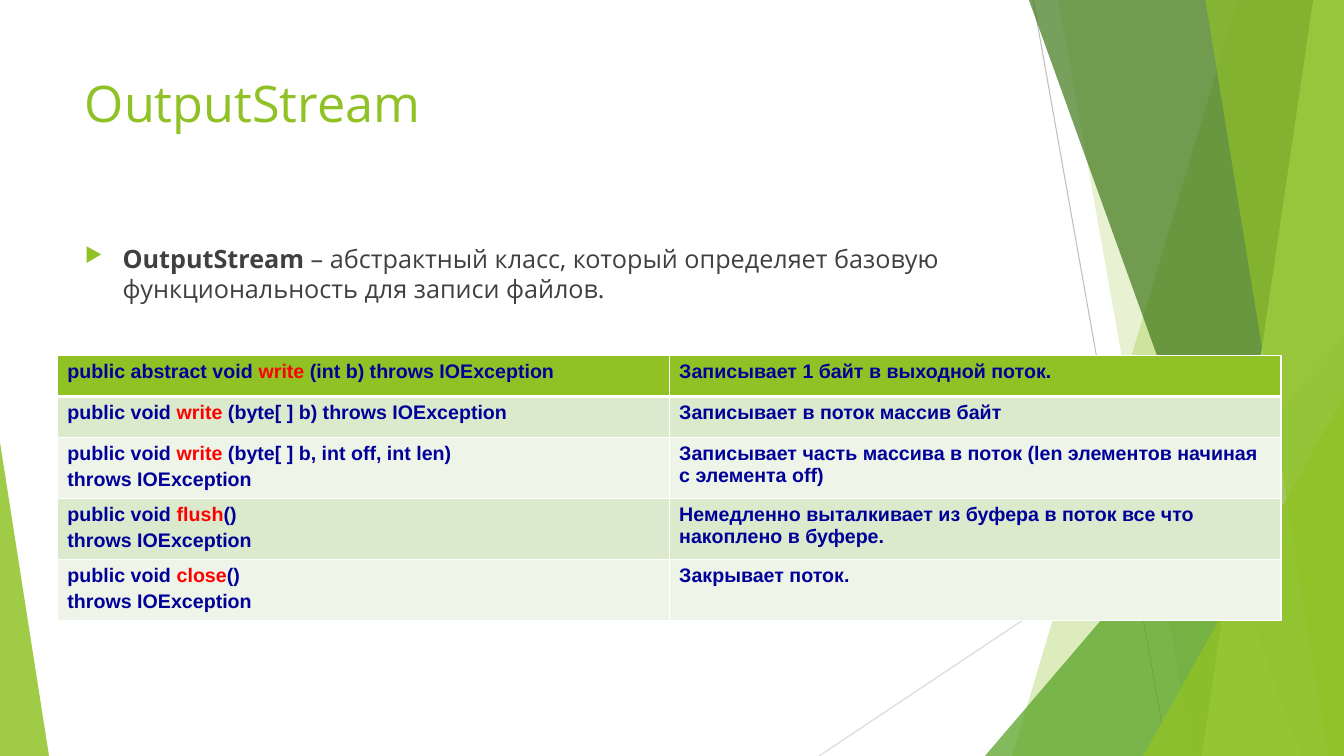
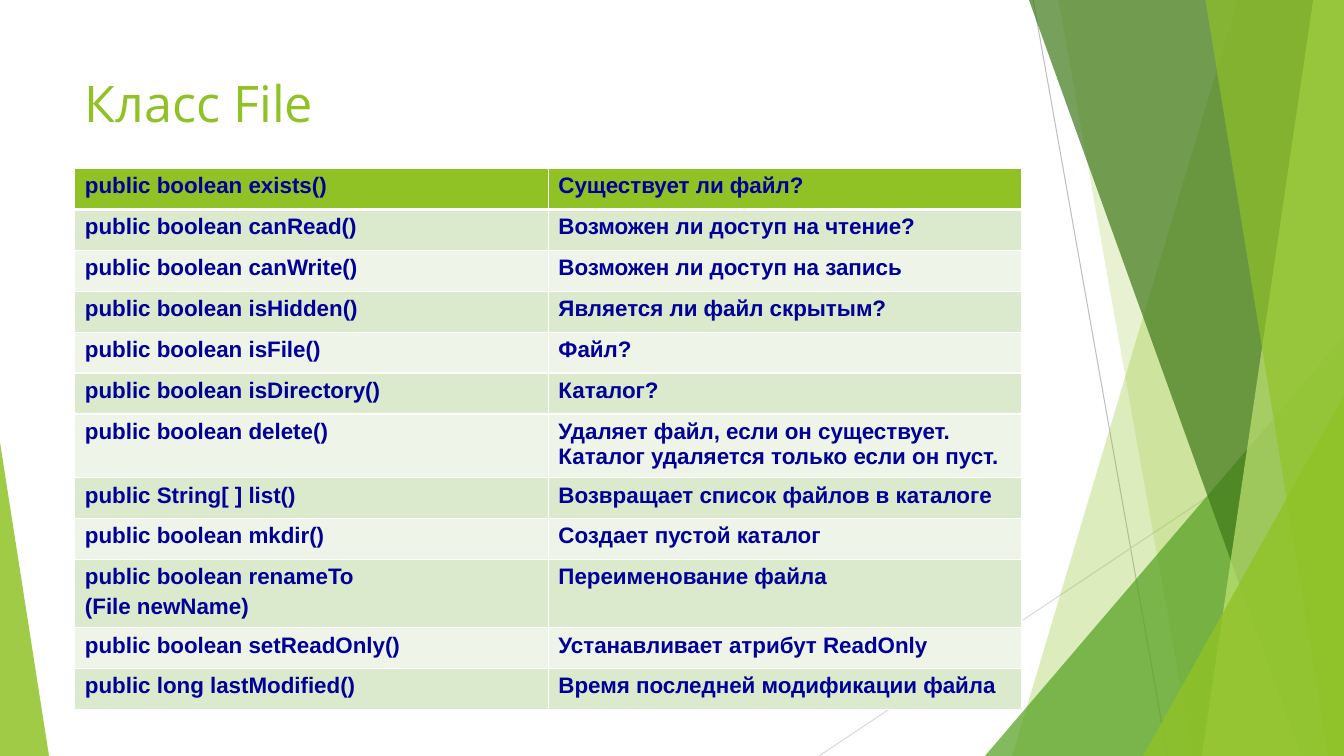
"""Build two Java input/output slides with a shared green facet design."""
from dataclasses import dataclass
from typing import Any

from lxml.etree import SubElement
from pptx import Presentation
from pptx.dml.color import RGBColor as Rgb
from pptx.enum.shapes import MSO_CONNECTOR as Connector
from pptx.enum.shapes import MSO_SHAPE as Preset
from pptx.enum.text import MSO_ANCHOR as Anchor
from pptx.oxml.ns import qn
from pptx.slide import Slide
from pptx.util import Pt

WIDTH, HEIGHT = 960, 540


@dataclass(frozen=True)
class Theme:
    """Colours, fonts and type sizes of the deck."""
    green: str = "90C226"
    leaf: str = "54A021"
    forest: str = "3F7819"
    lime: str = "C0E474"
    band_dark: str = "DBE9CD"
    band_light: str = "EEF4E8"
    white: str = "FFFFFF"
    ink: str = "404040"
    navy: str = "000099"
    red: str = "FF0000"
    ray_dark: str = "BFBFBF"
    ray_light: str = "D9D9D9"
    text_font: str = "Open Sans"
    table_font: str = "Arial"
    title_size: float = 36
    body_size: float = 18


THEME = Theme()


@dataclass(frozen=True)
class Ray:
    """Thin straight line across the page."""
    start: tuple[float, float]
    end: tuple[float, float]
    color: str


@dataclass(frozen=True)
class Facet:
    """Translucent area from a slanted left edge to the right page edge."""
    top: float
    bottom: float
    color: str
    opacity: int


@dataclass(frozen=True)
class Wedge:
    """Translucent triangle standing on the bottom page edge."""
    left: float
    top: float
    width: float
    apex: float
    color: str
    opacity: int


@dataclass(frozen=True)
class TextStyle:
    """Font, size and colours of plain and starred text."""
    font: str
    size: float
    color: str
    accent: str
    bold: bool = False
    accent_bold: bool = False


@dataclass(frozen=True)
class Grid:
    """Two-column table, with stars around accented words."""
    left: float
    top: float
    width: float
    size: float
    rows: tuple[tuple[str, str], ...]


RAYS = (
    Ray((738, 0), (834, HEIGHT), THEME.ray_dark),
    Ray((WIDTH, 290), (585, HEIGHT), THEME.ray_light),
)
FACETS = (
    Facet(884, 723, THEME.green, 30),
    Facet(756, 852, THEME.green, 20),
    Wedge(703.5, 240, 256.5, 1, THEME.leaf, 72),
    Facet(735, 929.5, THEME.forest, 70),
    Facet(938, 858.5, THEME.lime, 70),
    Facet(861, 949, THEME.green, 65),
    Wedge(816.5, 283, 143.5, 1, THEME.green, 80),
    Wedge(0, 316, 35, 0, THEME.green, 85),
)
TITLE = TextStyle(THEME.text_font, THEME.title_size, THEME.green, THEME.green)
BODY = TextStyle(THEME.text_font, THEME.body_size, THEME.ink, THEME.ink, accent_bold=True)
ROW_HEIGHT = 29.2

STREAM_GRID = Grid(41, 254, 874, 14, (
    ("public abstract void *write* (int b) throws IOException",
     "Записывает 1 байт в выходной поток."),
    ("public void *write* (byte[ ] b) throws IOException",
     "Записывает в поток массив байт"),
    ("public void *write* (byte[ ] b, int off, int len)\nthrows IOException",
     "Записывает часть массива в поток (len элементов начиная с элемента off)"),
    ("public void *flush*()\nthrows IOException",
     "Немедленно выталкивает из буфера в поток все что накоплено в буфере."),
    ("public void *close*()\nthrows IOException", "Закрывает поток."),
))
FILE_GRID = Grid(53.5, 120.5, 676.5, 16, (
    ("public boolean exists()", "Существует ли файл?"),
    ("public boolean canRead()", "Возможен ли доступ на чтение?"),
    ("public boolean canWrite()", "Возможен ли доступ на запись"),
    ("public boolean isHidden()", "Является ли файл скрытым?"),
    ("public boolean isFile()", "Файл?"),
    ("public boolean isDirectory()", "Каталог?"),
    ("public boolean delete()",
     "Удаляет файл, если он существует. Каталог удаляется только если он пуст."),
    ("public String[ ] list()", "Возвращает список файлов в каталоге"),
    ("public boolean mkdir()", "Создает пустой каталог"),
    ("public boolean renameTo\n(File newName)", "Переименование файла"),
    ("public boolean setReadOnly()", "Устанавливает атрибут ReadOnly"),
    ("public long lastModified()", "Время последней модификации файла"),
))


def apply_format(target: Any, values: dict[str, Any]) -> None:
    """Set each named attribute on the target."""
    for name, value in values.items():
        setattr(target, name, value)


def paint(shape: Any, color: str, opacity: int) -> None:
    """Fill a shape with a translucent colour and no outline."""
    shape.shadow.inherit = False
    shape.line.fill.background()
    shape.fill.solid()
    shape.fill.fore_color.rgb = Rgb.from_string(color)
    tone = shape.element.spPr.find(qn("a:solidFill"))[0]
    SubElement(tone, qn("a:alpha"), val=str(opacity * 1000))


def draw_ray(page: Slide, ray: Ray) -> None:
    """Draw one thin line."""
    line = page.shapes.add_connector(
        Connector.STRAIGHT, *(Pt(value) for value in ray.start + ray.end))
    line.line.color.rgb = Rgb.from_string(ray.color)
    line.line.width = Pt(0.75)
    SubElement(line.element.spPr, qn("a:effectLst"))


def draw_facet(page: Slide, facet: Facet) -> None:
    """Draw one slanted area."""
    builder = page.shapes.build_freeform(Pt(facet.top), 0)
    corners = ((WIDTH, 0), (WIDTH, HEIGHT), (facet.bottom, HEIGHT))
    builder.add_line_segments([(Pt(x), Pt(y)) for x, y in corners], close=True)
    paint(builder.convert_to_shape(), facet.color, facet.opacity)


def draw_wedge(page: Slide, wedge: Wedge) -> None:
    """Draw one triangle."""
    shape = page.shapes.add_shape(
        Preset.ISOSCELES_TRIANGLE, Pt(wedge.left), Pt(wedge.top),
        Pt(wedge.width), Pt(HEIGHT - wedge.top))
    shape.adjustments[0] = wedge.apex
    paint(shape, wedge.color, wedge.opacity)


def write_text(frame: Any, text: str, style: TextStyle, space: float = 0) -> None:
    """Write lines as paragraphs, with starred words accented."""
    for number, line in enumerate(text.split("\n")):
        para = frame.add_paragraph() if number else frame.paragraphs[0]
        para.space_before = Pt(space)
        for index, part in enumerate(line.split("*")):
            if not part:
                continue
            accented = index % 2 == 1
            span = para.add_run()
            span.text = part
            apply_format(span.font, {
                "name": style.font,
                "size": Pt(style.size),
                "bold": style.accent_bold if accented else style.bold,
            })
            span.font.color.rgb = Rgb.from_string(style.accent if accented else style.color)


def add_text(page: Slide, top: float, height: float, text: str,
             style: TextStyle, space: float = 0) -> Any:
    """Add a wrapped text box in the content column and return its frame."""
    box = page.shapes.add_textbox(Pt(53.5), Pt(top), Pt(676.5), Pt(height))
    apply_format(box.text_frame, {"word_wrap": True, "vertical_anchor": Anchor.TOP})
    write_text(box.text_frame, text, style, space)
    return box.text_frame


def add_bullet(page: Slide, text: str) -> None:
    """Add the body text with a green arrow bullet."""
    frame = add_text(page, 170, 305, text, BODY, 10)
    layout = frame.paragraphs[0]._p.get_or_add_pPr()
    layout.set("marL", str(Pt(27)))
    layout.set("indent", str(Pt(-27)))
    tone = SubElement(layout, qn("a:buClr"))
    SubElement(tone, qn("a:srgbClr"), val=THEME.green)
    SubElement(layout, qn("a:buSzPct"), val="80000")
    SubElement(layout, qn("a:buChar"), char="▶")


def set_borders(cell: Any, row: int) -> None:
    """Give a cell white borders, thick below the header row."""
    widths = {"L": 1, "R": 1, "T": 3 if row == 1 else 1, "B": 3 if row == 0 else 1}
    for side, width in widths.items():
        edge = SubElement(cell._tc.get_or_add_tcPr(), qn(f"a:ln{side}"), w=str(Pt(width)))
        fill = SubElement(edge, qn("a:solidFill"))
        SubElement(fill, qn("a:srgbClr"), val=THEME.white)


def add_grid(page: Slide, grid: Grid) -> None:
    """Add a table with a green header and banded rows."""
    count = len(grid.rows)
    table = page.shapes.add_table(
        count, 2, Pt(grid.left), Pt(grid.top), Pt(grid.width), Pt(ROW_HEIGHT * count)).table
    apply_format(table, {"first_row": False, "horz_banding": False})
    style = TextStyle(THEME.table_font, grid.size, THEME.navy, THEME.red, True, True)
    bands = (THEME.band_light, THEME.band_dark)
    for row, texts in enumerate(grid.rows):
        table.rows[row].height = Pt(ROW_HEIGHT)
        for column, text in enumerate(texts):
            cell = table.cell(row, column)
            set_borders(cell, row)
            cell.fill.solid()
            cell.fill.fore_color.rgb = Rgb.from_string(bands[row % 2] if row else THEME.green)
            write_text(cell.text_frame, text, style, grid.size / 5)


def add_page(deck: Any, title: str) -> Slide:
    """Add a blank page with the shared decoration and a title."""
    page = deck.slides.add_slide(deck.slide_layouts[6])
    for ray in RAYS:
        draw_ray(page, ray)
    for part in FACETS:
        if isinstance(part, Facet):
            draw_facet(page, part)
        else:
            draw_wedge(page, part)
    add_text(page, 48, 104, title, TITLE)
    return page


def main() -> None:
    """Build and save the deck."""
    deck = Presentation()
    apply_format(deck, {"slide_width": Pt(WIDTH), "slide_height": Pt(HEIGHT)})
    stream_page = add_page(deck, "OutputStream")
    add_bullet(stream_page, "*OutputStream* – абстрактный класс, который определяет "
                            "базовую функциональность для записи файлов.")
    add_grid(stream_page, STREAM_GRID)
    add_grid(add_page(deck, "Класс File"), FILE_GRID)
    deck.save("out.pptx")


main()
